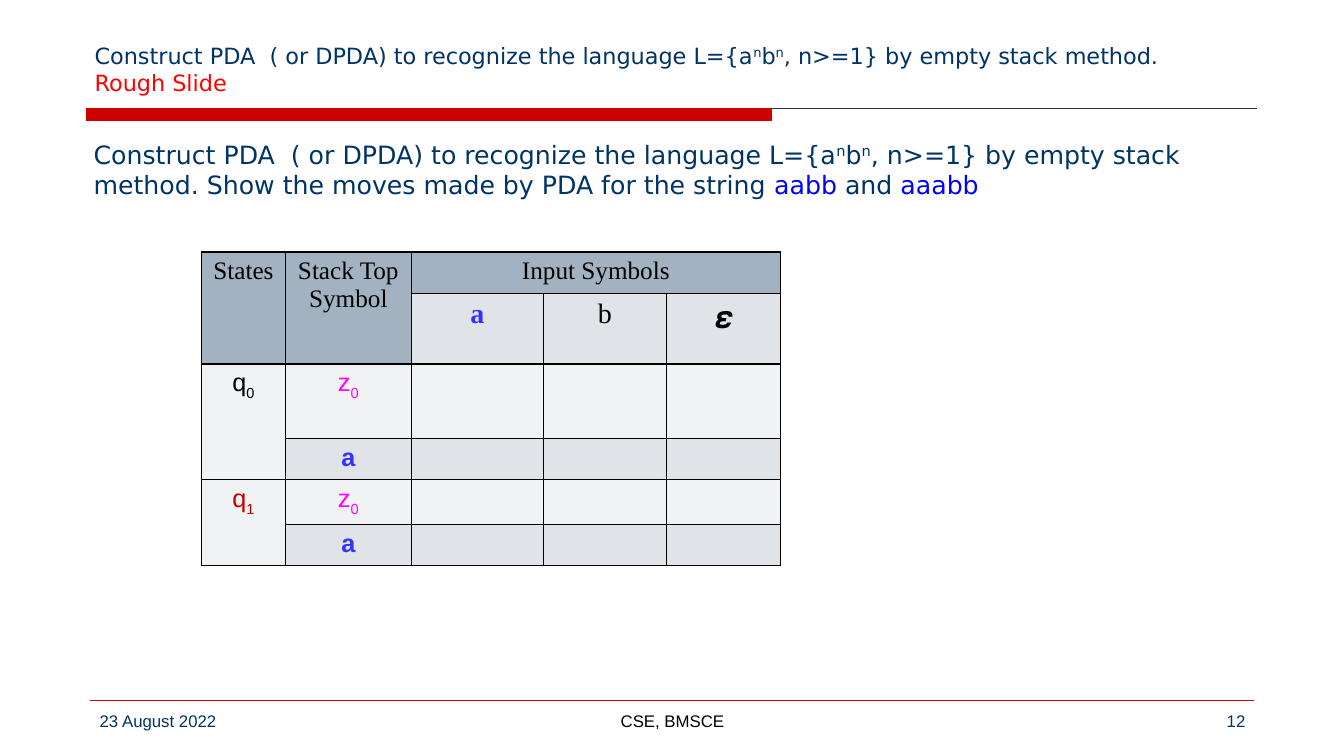
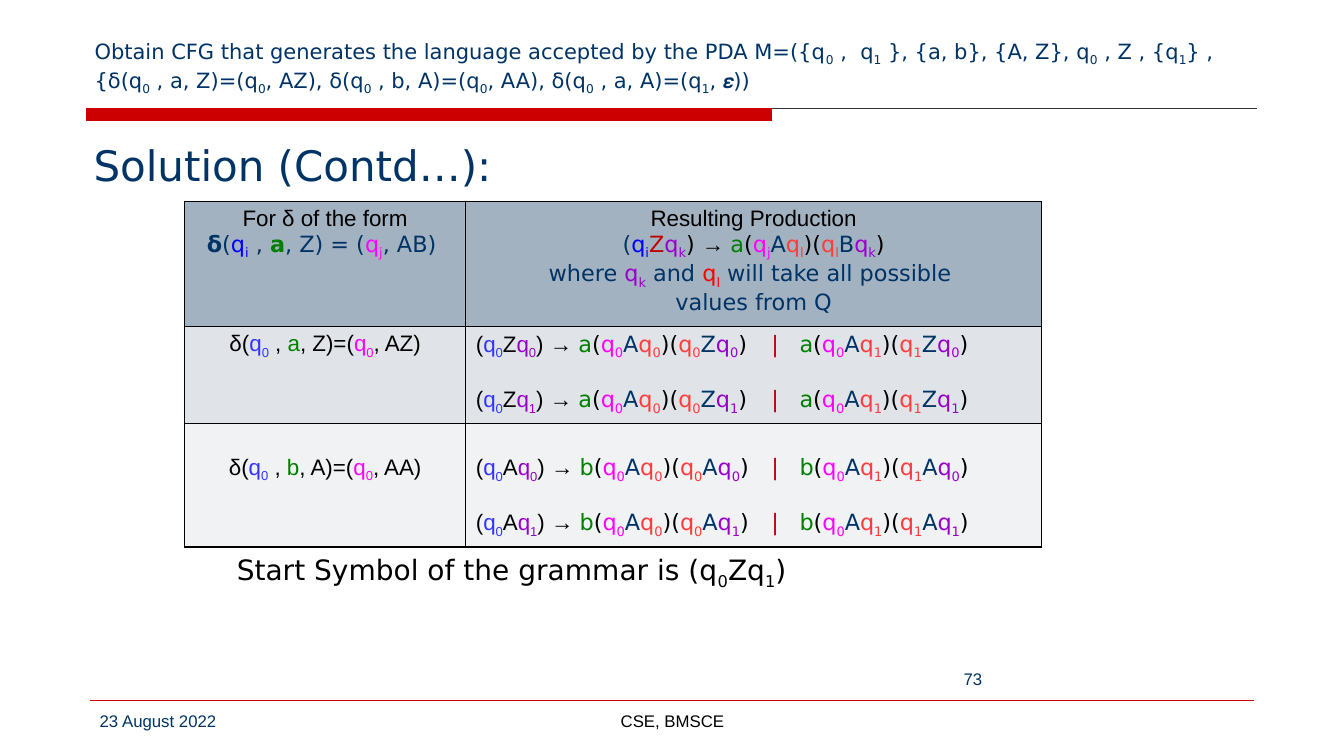
from pptx import Presentation
from pptx.dml.color import RGBColor
from pptx.enum.shapes import MSO_CONNECTOR as Link, MSO_SHAPE as Shape
from pptx.enum.text import MSO_ANCHOR as Anchor, PP_ALIGN as Align
from pptx.oxml import parse_xml
from pptx.oxml.ns import nsdecls
from pptx.oxml.xmlchemy import OxmlElement as Node
from pptx.util import Inches, Pt

NAVY, BLACK, RED, CRIMSON = "003366", "000000", "CC0000", "C00000"
BRIGHT, BLUE, GREEN, PINK = "0000FF", "3333FF", "008000", "FF00FF"
CORAL, VIOLET, SCARLET = "FF3B3C", "9900CC", "FF0000"
HEAD, DARK, PALE = "A3B2C1", "E0E4E9", "F0F2F4"
SANS, ARIAL, TIMES = "DejaVu Sans", "Arial", "Times New Roman"
LEFT, MID, RIGHT = Align.LEFT, Align.CENTER, Align.RIGHT


def hue(code):
    return RGBColor.from_string(code)


def bit(text, size=16, font=SANS, color=NAVY, bold=False):
    look = (size, font, color, bold)
    first, *rest = text.replace("^", "_^").split("_")
    runs = [(first, 0, look)]
    for part in rest:
        base = 30000 if part[0] == "^" else -25000
        part = part.lstrip("^")
        runs += [(part[0], base, look), (part[1:], 0, look)]
    return [run for run in runs if run[0]]


def mix(*pairs, **look):
    return [run for text, color in pairs for run in bit(text, color=color, **look)]


class Deck:
    """Holds the shared style and the current slide."""

    def __init__(self):
        self.file = Presentation()
        self.file.slide_width = Inches(13.33)
        self.file.slide_height = Inches(7.5)

    def page(self, title, num, spot=(9.56, 7, 2.89, 0.35)):
        self.slide = self.file.slides.add_slide(self.file.slide_layouts[6])
        self.line(0.86, 12.47, 1.08, "333333")
        self.bar(0.86, 1.08, 6.79, 0.12, RED)
        self.line(0.89, 12.44, 6.95, RED)
        self.text((0.84, 0.17, 11.67, 0.83), title, anchor=Anchor.BOTTOM)
        foot = {"size": 12, "font": ARIAL}
        self.text((0.89, 7, 2.89, 0.35), [bit("23 August 2022", **foot)])
        self.text((4.56, 7, 4.22, 0.35), [bit("CSE, BMSCE", color=BLACK, **foot)], MID)
        self.text(spot, [bit(num, **foot)], RIGHT)

    def line(self, start, end, top, color):
        rule = self.slide.shapes.add_connector(
            Link.STRAIGHT, Inches(start), Inches(top), Inches(end), Inches(top))
        rule.line.color.rgb = hue(color)
        rule.line.width = Pt(0.75)
        rule._element.spPr.append(Node("a:effectLst"))

    def bar(self, left, top, wide, high, color):
        band = self.slide.shapes.add_shape(
            Shape.RECTANGLE, *map(Inches, (left, top, wide, high)))
        band.shadow.inherit = False
        band.fill.solid()
        band.fill.fore_color.rgb = hue(color)
        band.line.color.rgb = hue(color)
        band.line.width = Pt(0.75)

    def put(self, frame, paras, align=LEFT, gap=0, tabs=()):
        for i, runs in enumerate(paras):
            para = frame.add_paragraph() if i else frame.paragraphs[0]
            if tabs:
                stops = Node("a:tabLst")
                for pos in tabs:
                    stop = Node("a:tab")
                    stop.set("pos", str(Inches(pos)))
                    stop.set("algn", "l")
                    stops.append(stop)
                para._p.get_or_add_pPr().append(stops)
            para.alignment = align
            if i and gap:
                para.space_before = Pt(gap)
            for text, base, (size, font, color, bold) in runs:
                run = para.add_run()
                run.text = text
                run.font.size = Pt(size)
                run.font.name = font
                run.font.bold = bold
                run.font.color.rgb = hue(color)
                if base:
                    run._r.get_or_add_rPr().set("baseline", str(base))

    def text(self, box, paras, align=LEFT, anchor=Anchor.TOP):
        frame = self.slide.shapes.add_textbox(*map(Inches, box)).text_frame
        frame.word_wrap = True
        frame.vertical_anchor = anchor
        self.put(frame, paras, align)

    def cell(self, cell, fill):
        props = cell._tc.get_or_add_tcPr()
        for side in "LRTB":
            props.append(parse_xml(
                f'<a:ln{side} {nsdecls("a")} w="12700"><a:solidFill>'
                f'<a:srgbClr val="{BLACK}"/></a:solidFill></a:ln{side}>'))
        cell.fill.solid()
        cell.fill.fore_color.rgb = hue(fill)

    def table(self, left, top, cols, rows, fills, spans=()):
        grid = self.slide.shapes.add_table(
            len(rows), len(cols), Inches(left), Inches(top),
            Inches(sum(cols)), Inches(sum(rows))).table
        grid.first_row = grid.horz_banding = False
        for col, wide in zip(grid.columns, cols):
            col.width = Inches(wide)
        for r, (high, fill) in enumerate(zip(rows, fills)):
            grid.rows[r].height = Inches(high)
            for c in range(len(cols)):
                self.cell(grid.cell(r, c), fill[min(c, len(fill) - 1)])
        for start, end in spans:
            grid.cell(*start).merge(grid.cell(*end))
        return grid


def arm(sign, mid, link, last, end):
    return mix((sign, GREEN), ("(", BLACK), (f"q_{mid}", PINK), ("A", NAVY),
               (f"q_{link}", CORAL), (")(", BLACK), (f"q_{link}", CORAL),
               (last, NAVY), (f"q_{end}", VIOLET), (")", BLACK))


def rule(sign, last, end):
    left = mix(("(", BLACK), ("q_0", BLUE), (last, BLACK), (f"q_{end}", VIOLET),
               (") → ", BLACK), font=ARIAL)
    return (left + arm(sign, 0, 0, last, end) + bit("\t|\t", color=CRIMSON)
            + arm(sign, 0, 1, last, end))


def move(sign, last):
    return mix(("δ(", BLACK), ("q_0 ", BLUE), (", ", BLACK), (sign, GREEN),
               (f", {last})=(", BLACK), ("q_0", PINK), (f", A{last})", BLACK), font=ARIAL)


def rough(deck):
    task = "Construct PDA  ( or DPDA) to recognize the language L={a^nb^n, n>=1} by empty stack method."
    deck.page([bit(task), bit("Rough Slide", color=SCARLET)], "12")
    deck.text((0.83, 1.33, 11.67, 0.9), [
        mix((task + " Show the moves made by PDA for the string ", NAVY),
            ("aabb", BRIGHT), (" and ", NAVY), ("aaabb", BRIGHT), size=18)])
    grid = deck.table(
        2, 2.5, [0.83, 1.25, 1.31, 1.22, 1.13], [0.41, 0.65, 0.74, 0.41, 0.42, 0.41],
        [[HEAD], [HEAD, HEAD, DARK], [PALE], [PALE, DARK], [PALE], [PALE, DARK]],
        [((0, 0), (1, 0)), ((0, 1), (1, 1)), ((0, 2), (0, 4)),
         ((2, 0), (3, 0)), ((4, 0), (5, 0))])
    head = {"size": 18, "font": TIMES, "color": BLACK}
    body = {"size": 18, "font": ARIAL}
    stack = [bit("z_0", color=PINK, **body)]
    push = [bit("a", color=BLUE, bold=True, **body)]
    cells = {
        (0, 0): [bit("States", **head)],
        (0, 1): [bit("Stack Top", **head), bit("Symbol", **head)],
        (0, 2): [bit("Input Symbols", **head)],
        (1, 2): [bit("a", 20, TIMES, BLUE, True)],
        (1, 3): [bit("b", 20, TIMES, BLACK)],
        (1, 4): [bit("𝞮", 24, TIMES, BLACK)],
        (2, 0): [bit("q_0", color=BLACK, **body)],
        (4, 0): [bit("q_1", color=CRIMSON, **body)],
        (2, 1): stack, (3, 1): push, (4, 1): stack, (5, 1): push,
    }
    for spot, paras in cells.items():
        deck.put(grid.cell(*spot).text_frame, paras, MID)


def answer(deck):
    title = (bit("Obtain CFG that generates the language accepted by the PDA "
                 "M=({q_0 ,  q_1 }, {a, b}, {A, Z}, q_0 , Z , {q_1} , "
                 "{δ(q_0 , a, Z)=(q_0, AZ), δ(q_0 , b, A)=(q_0, AA), "
                 "δ(q_0 , a, A)=(q_1, ", 15)
             + bit("𝞮", 15, TIMES) + bit("))", 15))
    deck.page([title], "73", (7.67, 6.58, 2.17, 0.35))
    deck.text((0.83, 1.33, 11.67, 0.65), [bit("Solution (Contd…):", 30)])
    grid = deck.table(1.83, 2, [2.79, 5.71], [1.19, 0.93, 1.17], [[HEAD], [DARK], [PALE]])
    form = (bit("δ", bold=True) + mix(("(", NAVY), ("q_i ", BRIGHT), (", ", NAVY))
            + bit("a", color=GREEN, bold=True)
            + mix((", Z) = (", NAVY), ("q_j", PINK), (", AB) ", NAVY)))
    shape = (mix(("(", NAVY), ("q_i", BRIGHT), ("Z", CRIMSON), ("q_k", VIOLET), (") ", BLACK))
             + bit("→ ", font=ARIAL, color=BLACK) + arm("a", "j", "l", "B", "k"))
    where = mix(("where ", NAVY), ("q_k", VIOLET), (" and ", NAVY), ("q_l", SCARLET),
                (" will take all possible ", NAVY))
    label = {"font": ARIAL, "color": BLACK}
    deck.put(grid.cell(0, 0).text_frame, [bit("For δ of the form", **label), form], MID)
    deck.put(grid.cell(0, 1).text_frame,
             [bit("Resulting Production", **label), shape, where, bit("values from Q")], MID)
    for row, (sign, last) in enumerate(["aZ", "bA"], 1):
        deck.put(grid.cell(row, 0).text_frame, [move(sign, last)], MID)
        deck.put(grid.cell(row, 1).text_frame, [rule(sign, last, end) for end in (0, 1)],
                 gap=18.5, tabs=(2.93, 3.21))
    for col in (0, 1):
        grid.cell(2, col).margin_top = Inches(0.31)
    deck.text((2.25, 5.43, 5.81, 0.44),
              [bit("Start Symbol of the grammar is (q_0Zq_1)", 20, color=BLACK)])


def main():
    deck = Deck()
    rough(deck)
    answer(deck)
    deck.file.save("out.pptx")


if __name__ == "__main__":
    main()
